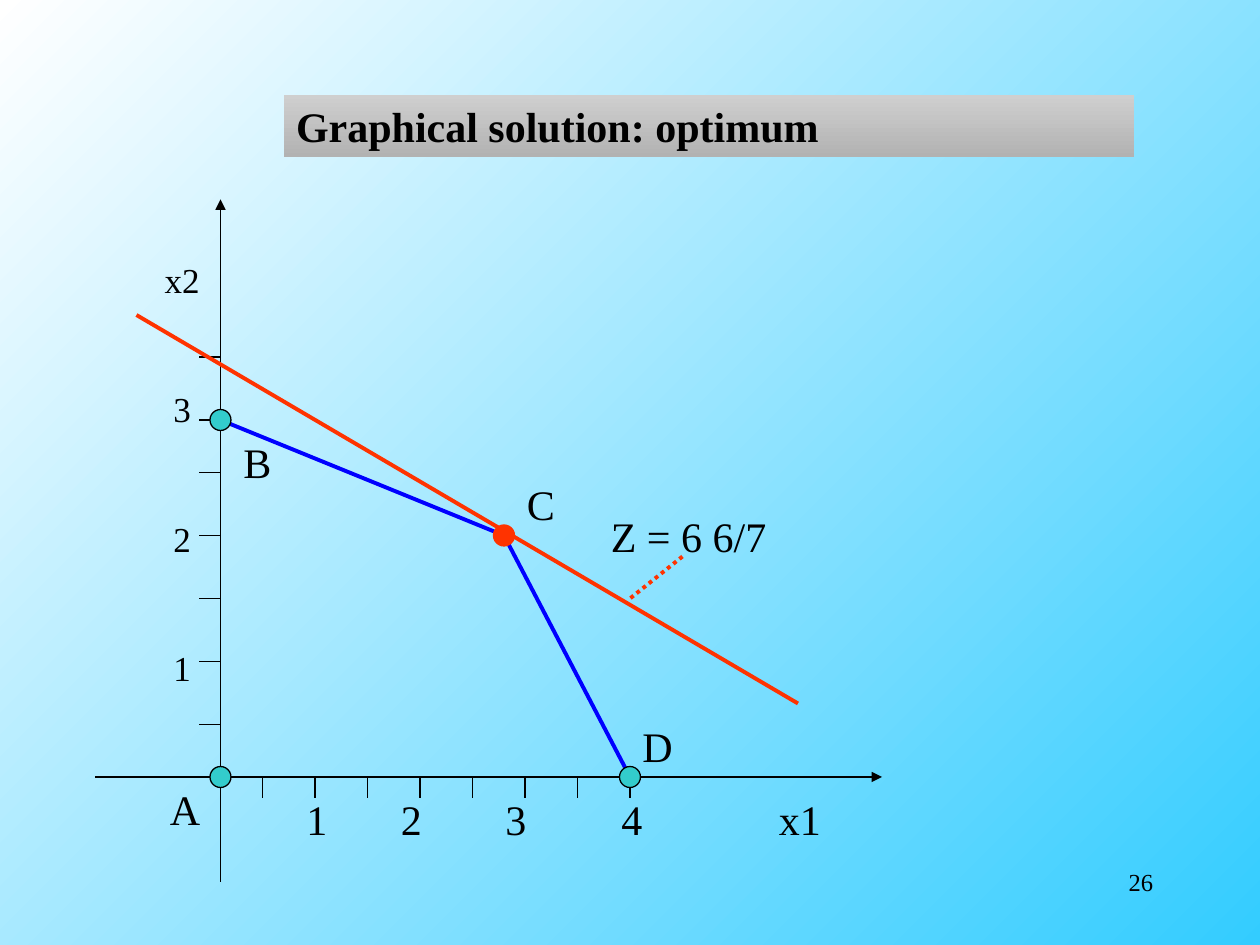
import pptx
import pptx.util
import pptx.dml.color
import pptx.enum.dml
import pptx.enum.shapes
import pptx.enum.text
import pptx.oxml

FONT = "Times New Roman"
BLACK, BLUE, RED, TEAL = "000000", "0000FF", "FF3300", "33CCCC"
ALIGN = pptx.enum.text.PP_ALIGN

# The drawing sits on a grid of 12 cells to the inch; points are (column, row).
CELLS_PER_INCH = 12
A, B, C, D = (21, 74), (21, 40), (48, 51), (60, 74)
TICK_LENGTH = 2
X_TICKS = range(25, 61, 5)
Y_TICKS = (69, 63, 57, 51, 45, 40, 34)
AXIS_ARMS = [  # end of each arm drawn from the origin, has arrowhead
    ((21, 19), True),
    ((84, 74), True),
    ((9, 74), False),
    ((21, 84), False),
]
OBJECTIVE = ((13, 30), (76, 67))
POINTER = ((65, 53), (60, 57))
DOTS = [(A, TEAL, BLACK), (B, TEAL, BLACK), (C, RED, RED), (D, TEAL, BLACK)]
DOT_SIZE = 2
LABELS = [  # text, top left corner, width in cells
    ("A", (15, 74), 5.3),
    ("B", (22, 41), 6),
    ("C", (49, 45), 7),
    ("D", (60, 68), 5.3),
    ("Z = 6 6/7", (57, 48), 17.2),
]
X_LABELS = ["1", "2", "3", "4", "x1"]
X_LABEL_TABS = [0.75, 1.58, 2.5, 3.75]
Y_LABELS = ["x2", "3", "2", "1"]
TITLE = "Graphical solution: optimum"
PAGE_NUMBER = "26"


def cells(count):
    return pptx.util.Inches(count / CELLS_PER_INCH)


def color(value):
    return pptx.dml.color.RGBColor.from_string(value)


def fill_gradient(fill, start, end, angle):
    fill.gradient()
    fill.gradient_angle = angle
    for stop, value, position in zip(fill.gradient_stops, (start, end), (0, 1)):
        stop.color.rgb = color(value)
        stop.position = position


def add_xml(parent, tag, **attributes):
    element = pptx.oxml.parse_xml(
        f'<a:{tag} xmlns:a="http://schemas.openxmlformats.org/drawingml/2006/main"/>')
    for name, value in attributes.items():
        element.set(name, str(value))
    parent.append(element)
    return element


def add_line(page, start, end, value=BLACK, width=0.75, arrow=False, dotted=False):
    line = page.shapes.add_connector(
        pptx.enum.shapes.MSO_CONNECTOR.STRAIGHT, *map(cells, start + end))
    line.line.color.rgb = color(value)
    line.line.width = pptx.util.Pt(width)
    if dotted:
        line.line.dash_style = pptx.enum.dml.MSO_LINE.ROUND_DOT
    if arrow:
        add_xml(line.line._get_or_add_ln(), "tailEnd", type="triangle")
    add_xml(line._element.spPr, "effectLst")


def add_dot(page, center, fill, outline):
    column, row = center
    dot = page.shapes.add_shape(
        pptx.enum.shapes.MSO_SHAPE.OVAL, cells(column - DOT_SIZE / 2),
        cells(row - DOT_SIZE / 2), cells(DOT_SIZE), cells(DOT_SIZE))
    dot.shadow.inherit = False
    dot.fill.solid()
    dot.fill.fore_color.rgb = color(fill)
    dot.line.color.rgb = color(outline)
    dot.line.width = pptx.util.Pt(0.75)


def format_para(para, size, align=ALIGN.LEFT, bold=False):
    para.alignment = align
    para.font.name = FONT
    para.font.size = pptx.util.Pt(size)
    para.font.bold = bold
    para.font.color.rgb = color(BLACK)


def add_text(page, lines, corner, width, height=6, size=24, align=ALIGN.LEFT,
             gap=0, tabs=()):
    box = page.shapes.add_textbox(*map(cells, corner + (width, height)))
    frame = box.text_frame
    frame.word_wrap = True
    frame.text = "\n".join(lines)
    for index, para in enumerate(frame.paragraphs):
        if tabs:
            tab_list = add_xml(para._p.get_or_add_pPr(), "tabLst")
            for position in tabs:
                add_xml(tab_list, "tab", pos=pptx.util.Inches(position), algn="l")
        format_para(para, size, align)
        if index:
            para.space_before = pptx.util.Pt(gap)
    return frame


def add_title(page):
    title = page.shapes.title
    title.left, title.top, title.width, title.height = map(cells, (27, 9, 81, 6))
    fill_gradient(title.fill, "CFCFCF", "B2B2B2", 270)
    frame = title.text_frame
    frame.text = TITLE
    frame.auto_size = pptx.enum.text.MSO_AUTO_SIZE.NONE
    frame.vertical_anchor = pptx.enum.text.MSO_ANCHOR.TOP
    format_para(frame.paragraphs[0], 24, bold=True)


def add_axes(page):
    for end, arrow in AXIS_ARMS:
        add_line(page, A, end, arrow=arrow)
    for column in X_TICKS:
        add_line(page, (column, A[1]), (column, A[1] + TICK_LENGTH))
    for row in Y_TICKS:
        add_line(page, (A[0] - TICK_LENGTH, row), (A[0], row))
    add_text(page, ["\t".join(X_LABELS)], (28, 75), 58, tabs=X_LABEL_TABS)
    frame = add_text(page, Y_LABELS, (12, 24), 9, 41.8, size=20,
                     align=ALIGN.CENTER, gap=50)
    frame.margin_left = pptx.util.Inches(0.24)


def main():
    deck = pptx.Presentation()
    deck.slide_width, deck.slide_height = cells(120), cells(90)
    page = deck.slides.add_slide(deck.slide_layouts.get_by_name("Title Only"))
    fill_gradient(page.background.fill, "33CCFF", "FFFFFF", 135)
    add_title(page)
    add_axes(page)
    for start, end in ((B, C), (C, D)):
        add_line(page, start, end, BLUE, 2.25)
    add_line(page, *OBJECTIVE, RED, 2.25)
    for text, corner, width in LABELS:
        add_text(page, [text], corner, width)
    add_line(page, *POINTER, RED, 2.25, dotted=True)
    for dot in DOTS:
        add_dot(page, *dot)
    add_text(page, [PAGE_NUMBER], (86, 82), 25, size=14, align=ALIGN.RIGHT)
    deck.save("out.pptx")


if __name__ == "__main__":
    main()
